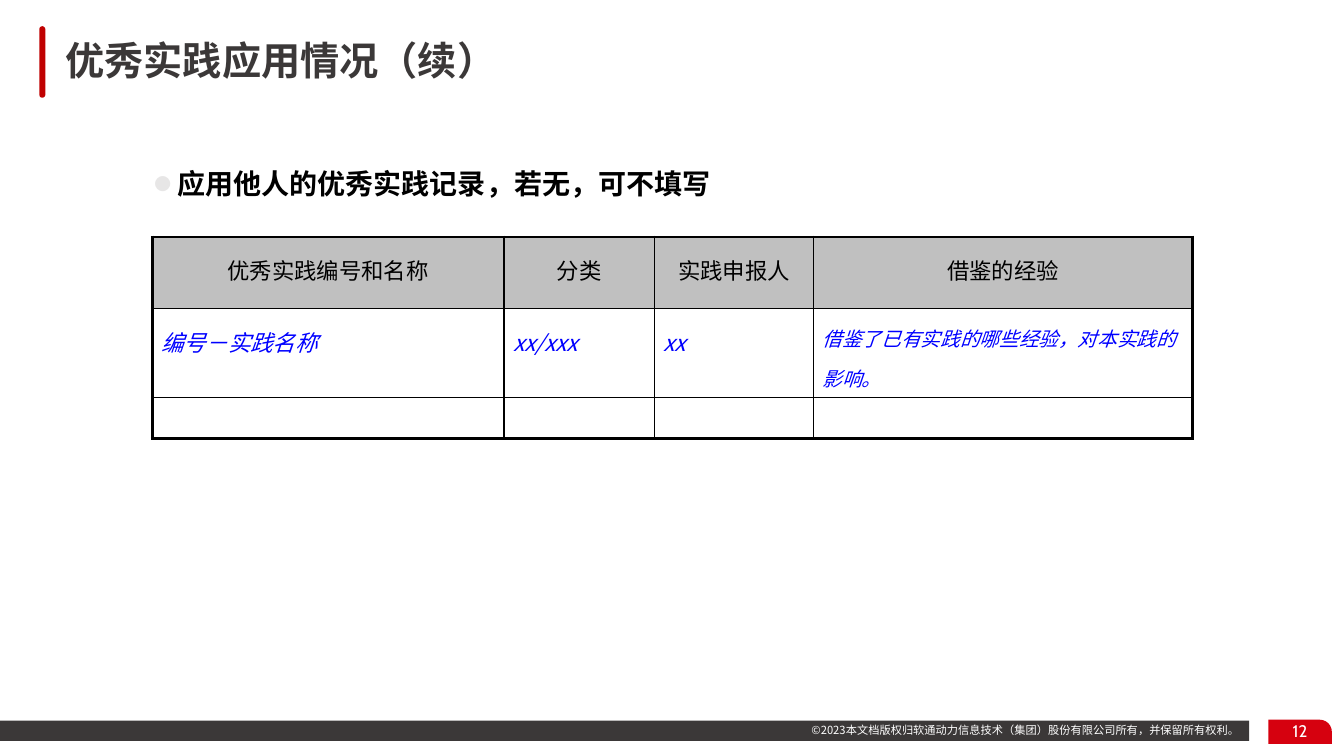
from dataclasses import dataclass

from lxml import etree
from pptx import Presentation
from pptx.dml.color import RGBColor
from pptx.enum import shapes, text
from pptx.oxml import ns
from pptx.util import Inches, Pt


@dataclass(frozen=True)
class Theme:
    cjk: str = "Noto Sans CJK SC"
    latin: str = "Cabin"
    dark: str = "3B3838"
    accent: str = "C00000"
    page_red: str = "D6010F"
    white: str = "FFFFFF"
    black: str = "000000"
    sample: str = "0000FF"
    header: str = "C0C0C0"
    bullet: str = "E7E6E6"
    title_size: int = 28
    list_size: int = 20
    table_size: int = 16
    detail_size: int = 14
    page_size: int = 12
    footer_size: int = 8
    spacing: float = 1.4
    thin: float = 1
    thick: float = 2.25


THEME = Theme()


@dataclass(frozen=True)
class Area:
    left: float
    top: float
    width: float
    height: float

    def lengths(self) -> tuple:
        return tuple(map(Inches, (self.left, self.top, self.width, self.height)))


@dataclass(frozen=True)
class Bar:
    kind: shapes.MSO_SHAPE
    area: Area
    color: str


@dataclass(frozen=True)
class Style:
    size: int
    color: str
    font: str = THEME.cjk
    bold: bool = False
    italic: bool = False
    align: text.PP_ALIGN = text.PP_ALIGN.LEFT
    spacing: float = 1


BARS = [
    Bar(shapes.MSO_SHAPE.ROUND_1_RECTANGLE, Area(12.58, 7.14, 0.63, 0.24), THEME.page_red),
    Bar(shapes.MSO_SHAPE.ROUNDED_RECTANGLE, Area(0.39, 0.26, 0.06, 0.71), THEME.accent),
    Bar(shapes.MSO_SHAPE.RECTANGLE, Area(0, 7.15, 12.39, 0.2), THEME.dark),
]
HEADER = Style(THEME.table_size, THEME.black, align=text.PP_ALIGN.CENTER, spacing=THEME.spacing)
SAMPLE = Style(THEME.table_size, THEME.sample, italic=True, spacing=THEME.spacing)
DETAIL = Style(THEME.detail_size, THEME.sample, italic=True, spacing=THEME.spacing)
COLUMN_WIDTHS = [3.49, 1.49, 1.58, 3.76]
ROW_HEIGHTS = [0.71, 0.88, 0.41]
ROWS = [
    ["优秀实践编号和名称", "分类", "实践申报人", "借鉴的经验"],
    ["编号－实践名称", "xx/xxx", "xx", "借鉴了已有实践的哪些经验，对本实践的影响。"],
    [""] * 4,
]


def add_element(parent, tag: str, **attributes: str):
    element = etree.SubElement(parent, ns.qn(tag))
    for name, value in attributes.items():
        element.set(name, value)
    return element


def write(frame, wording: str, style: Style) -> None:
    frame.text = wording
    para = frame.paragraphs[0]
    para.alignment = style.align
    para.line_spacing = style.spacing
    para.space_before = Pt(0)
    for span in para.runs:
        span.font.size = Pt(style.size)
        span.font.bold = style.bold
        span.font.italic = style.italic
        span.font.color.rgb = RGBColor.from_string(style.color)
        span.font.name = style.font
        add_element(span.font._element, "a:ea", typeface=style.font)


def place(box, area: Area) -> None:
    box.left, box.top, box.width, box.height = area.lengths()


def add_bar(page, bar: Bar) -> None:
    box = page.shapes.add_shape(bar.kind, *bar.area.lengths())
    if len(box.adjustments):
        box.adjustments[0] = 0.5
    box.shadow.inherit = False
    box.fill.solid()
    box.fill.fore_color.rgb = RGBColor.from_string(bar.color)
    box.line.fill.background()


def add_label(page, area: Area, wording: str, style: Style, wrap: bool) -> None:
    frame = page.shapes.add_textbox(*area.lengths()).text_frame
    frame.word_wrap = wrap
    frame.vertical_anchor = text.MSO_ANCHOR.MIDDLE if wrap else text.MSO_ANCHOR.TOP
    write(frame, wording, style)


def fill_title(page) -> None:
    title = page.shapes.title
    place(title, Area(0.55, 0.29, 6.12, 0.66))
    title.text_frame.vertical_anchor = text.MSO_ANCHOR.MIDDLE
    write(title.text_frame, "优秀实践应用情况（续）",
          Style(THEME.title_size, THEME.dark, bold=True, spacing=0.9))


def fill_list(page) -> None:
    body = page.placeholders[1]
    place(body, Area(1.44, 1.48, 9.7, 0.56))
    frame = body.text_frame
    frame.auto_size = text.MSO_AUTO_SIZE.NONE
    frame.margin_left = frame.margin_right = Inches(0.09)
    frame.margin_top = frame.margin_bottom = Inches(0.04)
    write(frame, "应用他人的优秀实践记录，若无，可不填写",
          Style(THEME.list_size, THEME.black, bold=True, spacing=THEME.spacing))
    settings = frame.paragraphs[0]._p.get_or_add_pPr()
    settings.set("marL", str(Inches(0.23)))
    settings.set("indent", str(-Inches(0.23)))
    add_element(add_element(settings, "a:buClr"), "a:srgbClr", val=THEME.bullet)
    add_element(settings, "a:buSzPct", val="60000")
    add_element(settings, "a:buFont", typeface=THEME.cjk)
    add_element(settings, "a:buChar", char="●")


def set_borders(cell, outer: dict[str, bool]) -> None:
    """Draw the four cell edges, thick where the edge is on the table's outside."""
    settings = cell._tc.get_or_add_tcPr()
    for position, (side, is_outer) in enumerate(outer.items()):
        width = Pt(THEME.thick if is_outer else THEME.thin)
        edge = add_element(settings, f"a:ln{side}", w=str(width))
        add_element(add_element(edge, "a:solidFill"), "a:srgbClr", val=THEME.black)
        settings.insert(position, edge)


def add_practice_table(page) -> None:
    area = Area(1.51, 2.35, sum(COLUMN_WIDTHS), sum(ROW_HEIGHTS))
    table = page.shapes.add_table(len(ROWS), len(COLUMN_WIDTHS), *area.lengths()).table
    table.first_row = table.horz_banding = False
    for column, width in zip(table.columns, COLUMN_WIDTHS):
        column.width = Inches(width)
    for row, height in zip(table.rows, ROW_HEIGHTS):
        row.height = Inches(height)
    last_row, last_column = len(ROWS) - 1, len(COLUMN_WIDTHS) - 1
    for i, wordings in enumerate(ROWS):
        for j, wording in enumerate(wordings):
            cell = table.cell(i, j)
            cell.margin_left = cell.margin_right = Inches(0.09)
            cell.margin_top = cell.margin_bottom = Inches(0.04)
            if i == 0:
                cell.fill.solid()
                cell.fill.fore_color.rgb = RGBColor.from_string(THEME.header)
            else:
                cell.fill.background()
            if wording:
                body_style = DETAIL if j == last_column else SAMPLE
                write(cell.text_frame, wording, HEADER if i == 0 else body_style)
            set_borders(cell, {"L": j == 0, "R": j == last_column,
                               "T": i == 0, "B": i == last_row})


def main() -> None:
    deck = Presentation()
    deck.slide_width, deck.slide_height = Inches(13.33), Inches(7.5)
    page = deck.slides.add_slide(deck.slide_layouts[1])
    for bar in BARS:
        add_bar(page, bar)
    add_label(page, Area(7.95, 7.13, 4.5, 0.24),
              "©2023本文档版权归软通动力信息技术（集团）股份有限公司所有，并保留所有权利。",
              Style(THEME.footer_size, THEME.white), wrap=False)
    add_label(page, Area(12.58, 7.05, 0.63, 0.4), "12",
              Style(THEME.page_size, THEME.white, THEME.latin, align=text.PP_ALIGN.CENTER), wrap=True)
    fill_title(page)
    add_practice_table(page)
    fill_list(page)
    deck.save("out.pptx")


if __name__ == "__main__":
    main()
